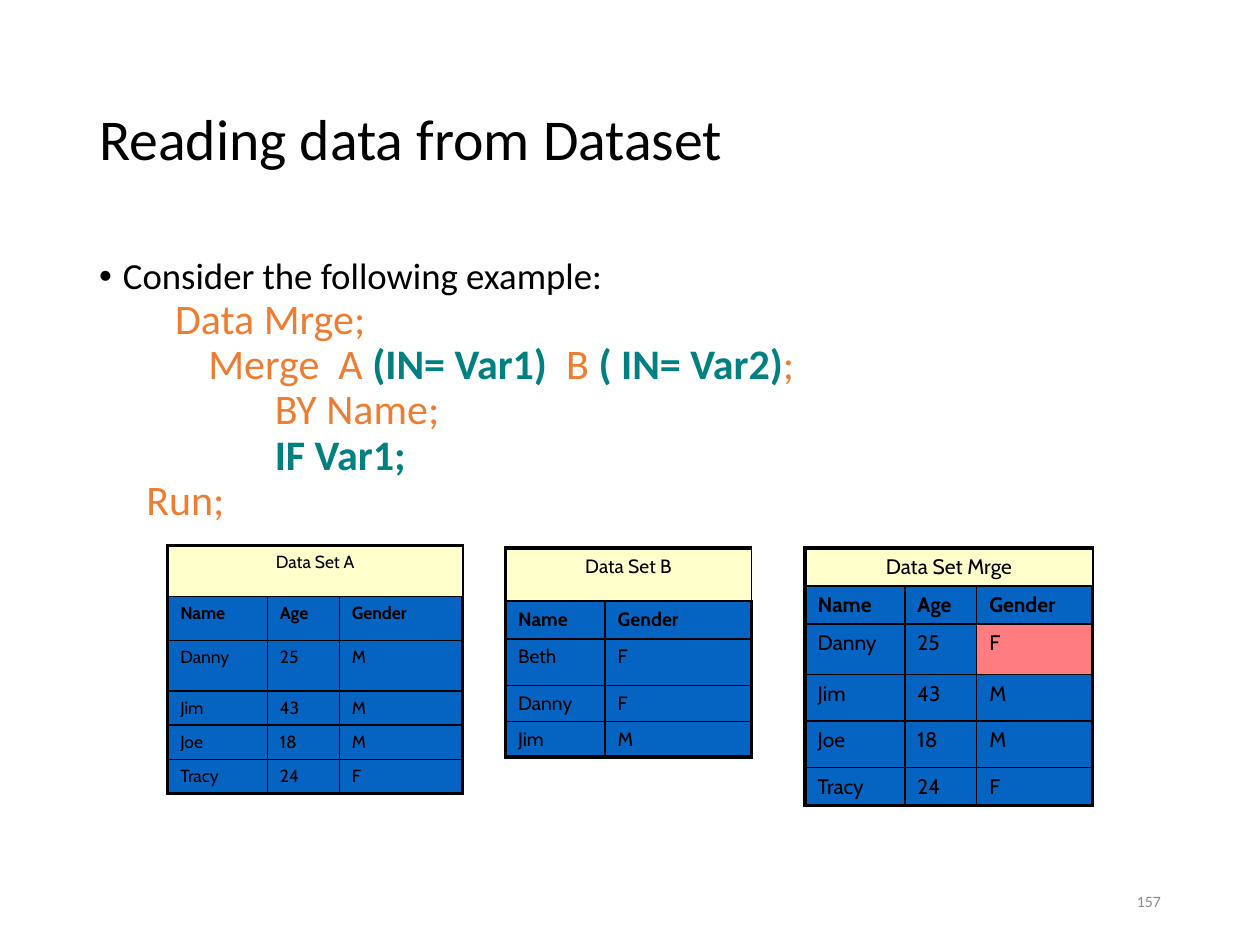
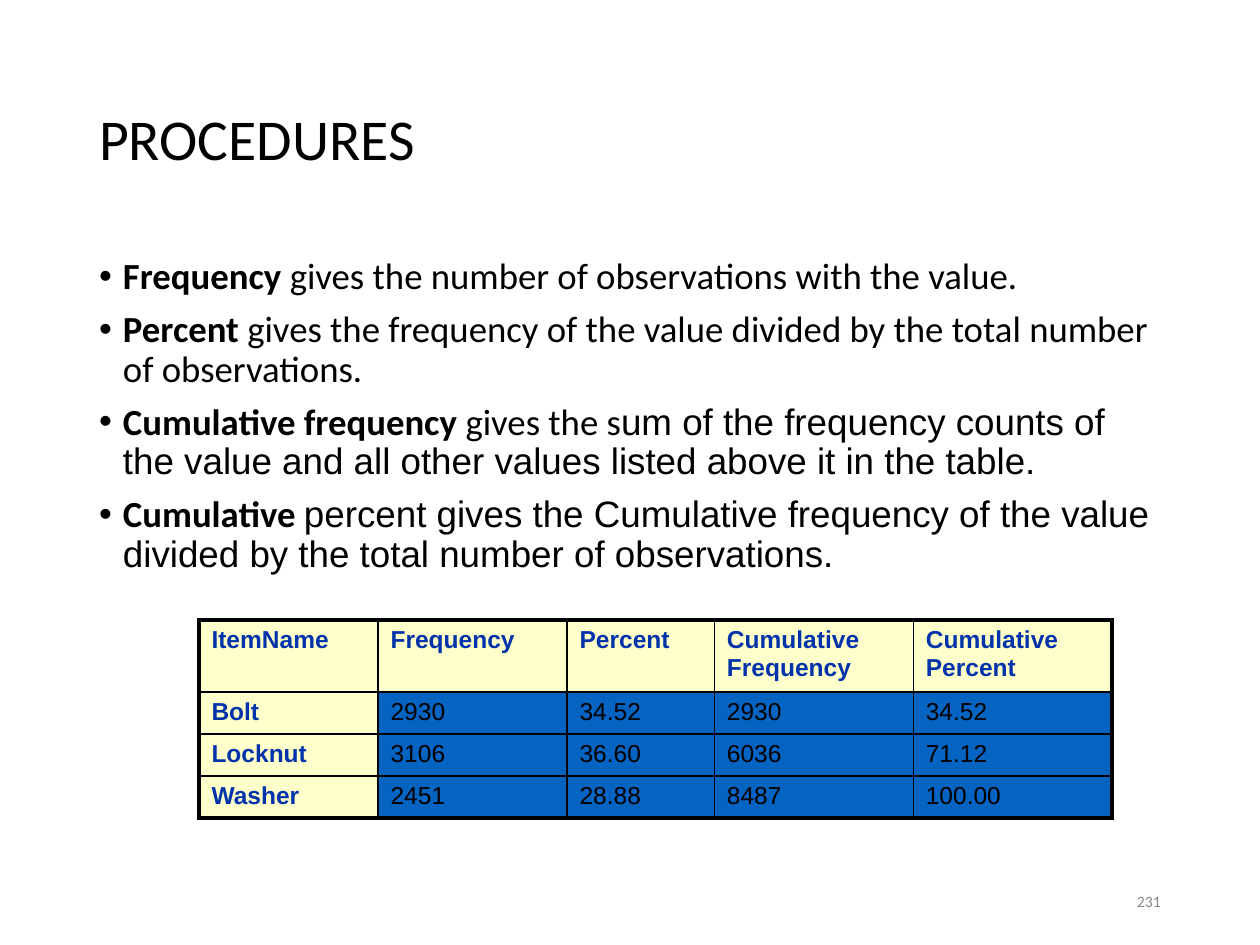
from copy import deepcopy

from lxml.etree import SubElement
from pptx import Presentation
from pptx.dml.color import RGBColor
from pptx.enum.text import MSO_ANCHOR, PP_ALIGN
from pptx.oxml.ns import qn
from pptx.util import Cm, Pt

BLACK, GREY, ORANGE, TEAL = "000000", "898989", "ED7D31", "008080"
CREAM, BLUE, PINK, NAVY = "FFFFCC", "0563C1", "FF7C80", "0033A9"

# Shared regions in cm: left, top, width, height
TITLE_BOX = (1.75, 1.02, 21.89, 3.68)
BODY_BOX = (1.75, 5.08, 21.89, 12.09)
NUMBER_BOX = (17.93, 17.65, 5.72, 1.02)
BULLET_INDENT = 0.48
OUTER, INNER = 2.25, 1

# Formats
TITLE = {"size": Pt(33), "name": "Calibri", "color": BLACK}
NUMBER = {"size": Pt(9), "name": "Calibri", "color": GREY}
BODY = {"size": Pt(21), "name": "Calibri", "color": BLACK}
STRONG = {**BODY, "bold": True}
ARIAL = {**BODY, "name": "Arial"}
CODE = {"size": Pt(24), "name": "Calibri", "color": ORANGE}
CODE_KEY = {**CODE, "color": TEAL, "bold": True}


def rgb(color):
    return RGBColor.from_string(color)


def format_run(r, style):
    for key, value in style.items():
        if key == "color":
            r.font.color.rgb = rgb(value)
        else:
            setattr(r.font, key, value)


def add_runs(p, runs):
    for text, style in runs:
        r = p.add_run()
        r.text = text
        format_run(r, style)


def add_box(s, box, anchor=MSO_ANCHOR.TOP):
    tf = s.shapes.add_textbox(*map(Cm, box)).text_frame
    tf.word_wrap = True
    tf.vertical_anchor = anchor
    return tf


def next_paragraph(tf):
    first = tf.paragraphs[0]
    return tf.add_paragraph() if first.runs else first


def add_bullet(tf, runs):
    p = next_paragraph(tf)
    pPr = p._p.get_or_add_pPr()
    pPr.set("marL", str(Cm(BULLET_INDENT)))
    pPr.set("indent", str(-Cm(BULLET_INDENT)))
    SubElement(pPr, qn("a:buFont")).set("typeface", "Arial")
    SubElement(pPr, qn("a:buChar")).set("char", "•")
    p.line_spacing = 0.9
    if p._p is not tf.paragraphs[0]._p:
        p.space_before = Pt(7.5)
    add_runs(p, runs)


def add_code_line(tf, indent, runs):
    p = next_paragraph(tf)
    p._p.get_or_add_pPr().set("marL", str(Cm(indent)))
    p.line_spacing = 0.9
    add_runs(p, runs)


def add_slide(prs, title, number):
    s = prs.slides.add_slide(prs.slide_layouts[6])
    p = add_box(s, TITLE_BOX, MSO_ANCHOR.MIDDLE).paragraphs[0]
    p.line_spacing = 0.9
    add_runs(p, [(title, TITLE)])
    p = add_box(s, NUMBER_BOX, MSO_ANCHOR.MIDDLE).paragraphs[0]
    p.alignment = PP_ALIGN.RIGHT
    add_runs(p, [(number, NUMBER)])
    return s


def set_borders(cell, widths):
    tcPr = cell._tc.get_or_add_tcPr()
    for side, width in zip("LRTB", widths):
        ln = SubElement(tcPr, qn(f"a:ln{side}"), w=str(Pt(width)))
        fill = SubElement(ln, qn("a:solidFill"))
        SubElement(fill, qn("a:srgbClr"), val=BLACK)


def fill_cell(cell, text, style, fill):
    cell.fill.solid()
    cell.fill.fore_color.rgb = rgb(fill)
    p = cell.text_frame.paragraphs[0]
    p.text = text
    for r in p.runs:
        format_run(r, style)
    # Line breaks take the size of the text around them
    for br in p._p.findall(qn("a:br")):
        br.insert(0, deepcopy(p.runs[0]._r.rPr))


def add_grid(s, left, top, widths, heights, rows, look):
    """Table with a thick frame; look(row, column) gives a style and a fill."""
    frame = s.shapes.add_table(len(heights), len(widths), Cm(left), Cm(top),
                               Cm(sum(widths)), Cm(sum(heights)))
    table = frame.table
    table.first_row = table.horz_banding = False
    for column, width in zip(table.columns, widths):
        column.width = Cm(width)
    for row, height in zip(table.rows, heights):
        row.height = Cm(height)
    last_row, last_col = len(heights) - 1, len(widths) - 1
    for i, texts in enumerate(rows):
        for j, text in enumerate(texts):
            cell = table.cell(i, j)
            on_frame = (j == 0, j == last_col, i == 0, i == last_row)
            set_borders(cell, [OUTER if edge else INNER for edge in on_frame])
            fill_cell(cell, text, *look(i, j))
    return table


def add_data_set(s, left, top, widths, heights, size, name, rows, changed=None):
    """Data set table: merged caption, bold header, records."""
    def look(i, j):
        style = {"size": Pt(size), "name": "Cabin", "color": BLACK, "bold": i == 1}
        return style, CREAM if i == 0 else PINK if (i, j) == changed else BLUE

    caption = [name] + [""] * (len(widths) - 1)
    table = add_grid(s, left, top, widths, heights, [caption] + rows, look)
    table.cell(0, 0).merge(table.cell(0, len(widths) - 1))
    table.cell(0, 0).text_frame.paragraphs[0].alignment = PP_ALIGN.CENTER


def frequency_look(i, j):
    label = i == 0 or j == 0
    style = {"size": Pt(14), "name": "Arial", "bold": label,
             "color": NAVY if label else BLACK}
    return style, CREAM if label else BLUE


def build_merge_slide(prs):
    s = add_slide(prs, "Reading data from Dataset", "157")

    # Code example
    tf = add_box(s, BODY_BOX)
    add_bullet(tf, [("Consider the following example:", BODY)])
    for indent, runs in [
        (1.53, [("Data Mrge;", CODE)]),
        (2.2, [("Merge  A ", CODE), ("(IN= Var1)", CODE_KEY), ("  B ", CODE),
               ("( IN= Var2)", CODE_KEY), (";", CODE)]),
        (3.54, [("BY Name;", CODE)]),
        (3.54, [("IF Var1;", CODE_KEY)]),
        (0.95, [("Run;", CODE)]),
    ]:
        add_code_line(tf, indent, runs)

    # Data sets
    header = ["Name", "Age", "Gender"]
    people = [["Jim", "43", "M"], ["Joe", "18", "M"], ["Tracy", "24", "F"]]
    add_data_set(s, 3.38, 11, [2.01, 1.45, 2.49],
                 [1.02, 0.89, 1.02, 0.69, 0.69, 0.69], 10, "Data Set A",
                 [header, ["Danny", "25", "M"]] + people)
    add_data_set(s, 10.19, 11.05, [2.01, 2.95],
                 [1.07, 0.76, 0.94, 0.71, 0.71], 11, "Data Set B",
                 [["Name", "Gender"], ["Beth", "F"], ["Danny", "F"], ["Jim", "M"]])
    add_data_set(s, 16.23, 11.05, [2.01, 1.45, 2.34],
                 [0.76, 0.76, 1.02, 0.94, 0.94, 0.76], 12, "Data Set Mrge",
                 [header, ["Danny", "25", "F"]] + people, changed=(2, 2))


def build_procedures_slide(prs):
    s = add_slide(prs, "PROCEDURES", "231")

    # Definitions
    tf = add_box(s, BODY_BOX)
    for runs in [
        [("Frequency ", STRONG),
         ("gives the number of observations with the value.", BODY)],
        [("Percent ", STRONG),
         ("gives the frequency of the value divided by the total number "
          "of observations.", BODY)],
        [("Cumulative frequency ", STRONG), ("gives the s", BODY),
         ("um of the frequency counts of the value and all other values "
          "listed above it in the table.", ARIAL)],
        [("Cumulative ", STRONG),
         ("percent gives the Cumulative frequency of the value divided by "
          "the total number of observations.", ARIAL)],
    ]:
        add_bullet(tf, runs)

    # Frequency table
    add_grid(s, 4.01, 12.5, [3.61, 3.81, 2.97, 4.01, 4.01],
             [1.45, 0.84, 0.84, 0.84], [
        ["ItemName", "Frequency", "Percent", "Cumulative\nFrequency",
         "Cumulative\nPercent"],
        ["Bolt", "2930", "34.52", "2930", "34.52"],
        ["Locknut", "3106", "36.60", "6036", "71.12"],
        ["Washer", "2451", "28.88", "8487", "100.00"],
    ], frequency_look)


def main():
    prs = Presentation()
    prs.slide_width, prs.slide_height = Cm(25.4), Cm(19.05)
    build_merge_slide(prs)
    build_procedures_slide(prs)
    prs.save("out.pptx")


if __name__ == "__main__":
    main()
